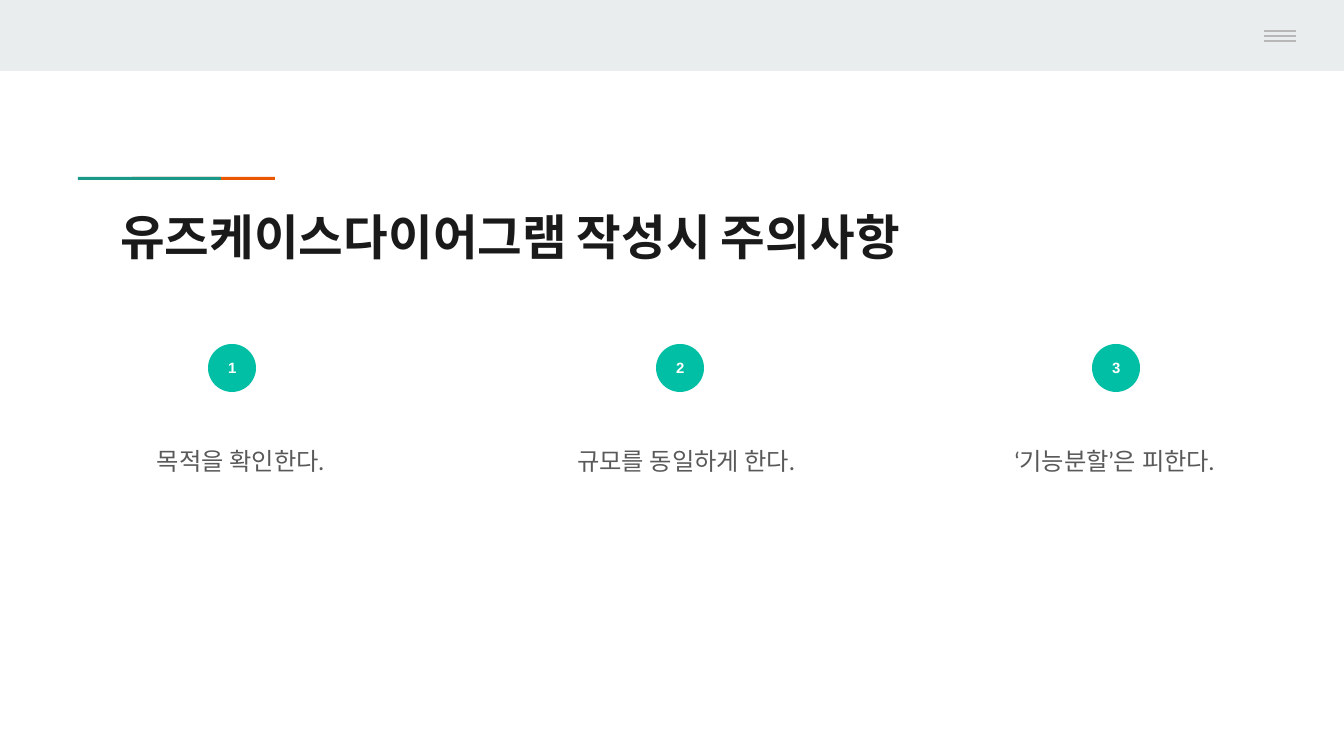
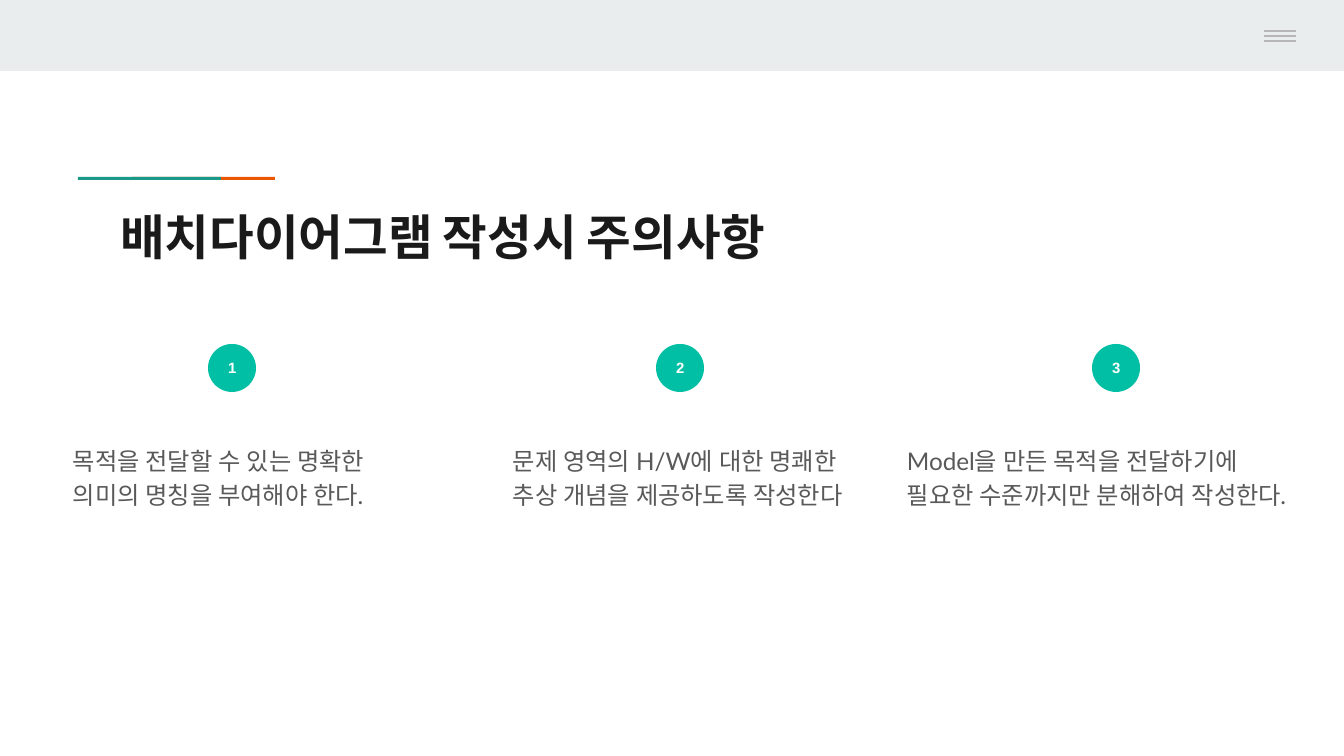
from dataclasses import dataclass

from lxml import etree
from pptx import Presentation
from pptx.dml.color import RGBColor
from pptx.enum.shapes import MSO_CONNECTOR, MSO_SHAPE
from pptx.enum.text import MSO_ANCHOR, MSO_AUTO_SIZE, PP_ALIGN
from pptx.oxml.ns import qn
from pptx.util import Pt

RECT, OVAL = MSO_SHAPE.RECTANGLE, MSO_SHAPE.OVAL
STRAIGHT = MSO_CONNECTOR.STRAIGHT
LEFT, CENTER = PP_ALIGN.LEFT, PP_ALIGN.CENTER
TOP, MIDDLE = MSO_ANCHOR.TOP, MSO_ANCHOR.MIDDLE
NO_FIT = MSO_AUTO_SIZE.NONE

# Each slide: title, alignment of its notes, and three notes as paragraph lists
SLIDES = [
    ("유즈케이스다이어그램 작성시 주의사항", CENTER, [
        ["목적을 확인한다."],
        ["규모를 동일하게 한다."],
        ["‘기능분할’은 피한다."],
    ]),
    ("배치다이어그램 작성시 주의사항", LEFT, [
        ["목적을 전달할 수 있는 명확한 의미의 명칭을 부여해야 한다."],
        ["문제 영역의 H/W에 대한 명쾌한 추상 개념을 제공하도록 작성한다"],
        ["Model을 만든 목적을 전달하기에",
         "필요한 수준까지만 분해하여 작성한다."],
    ]),
]


@dataclass(frozen=True)
class TextStyle:
    font: str
    size: int
    color: str
    bold: bool = False


@dataclass(frozen=True)
class Theme:
    band: str = "E9EDEE"
    orange: str = "EB5600"
    teal: str = "1A9988"
    menu: str = "B7B7B7"
    badge: str = "00BFA5"
    title: TextStyle = TextStyle("Manrope", 26, "1A1A1A", True)
    number: TextStyle = TextStyle("Arial", 8, "FFFFFF", True)
    note: TextStyle = TextStyle("Lato", 13, "595959")


THEME = Theme()

# Layout in px
PX = 914400 / 134.4
WIDTH, HEIGHT = 1344, 756
INSET = 13
BAND_H = 71
ACCENT_Y, ACCENT_W, ACCENT_H = 177, 143, 3
ACCENTS = [(132, THEME.orange), (78, THEME.teal)]
MENU_X, MENU_Y, MENU_W, MENU_STEP = 1264, 31, 32, 5
TITLE_BOX = (107, 194, 1130, 79)
BADGE_Y, BADGE_SIZE = 344, 48
NOTE_Y, NOTE_H = 429, 154
COLUMNS = [(208, 60, 361), (656, 500, 372), (1092, 894, 441)]  # badge x, note x, note width


def px(n):
    return round(n * PX)


def rgb(color):
    return RGBColor.from_string(color)


def add_filled(slide, preset, box, color):
    sp = slide.shapes.add_shape(preset, *map(px, box))
    sp.shadow.inherit = False
    sp.fill.solid()
    sp.fill.fore_color.rgb = rgb(color)
    sp.line.fill.background()
    return sp


def add_rule(slide, x, y, width):
    line = slide.shapes.add_connector(STRAIGHT, px(x), px(y), px(x + width), px(y))
    line.line.color.rgb = rgb(THEME.menu)
    line.line.width = Pt(0.75)
    etree.SubElement(line.element.spPr, qn("a:effectLst"))
    return line


def write(sp, paragraphs, style, align, anchor=TOP, spacing=1.0):
    tf = sp.text_frame
    tf.word_wrap = True
    tf.auto_size = NO_FIT
    tf.vertical_anchor = anchor
    tf.margin_left = tf.margin_top = tf.margin_right = tf.margin_bottom = px(INSET)
    for i, text in enumerate(paragraphs):
        p = tf.add_paragraph() if i else tf.paragraphs[0]
        p.alignment = align
        p.line_spacing = spacing
        r = p.add_run()
        r.text = text
        r.font.size = Pt(style.size)
        r.font.bold = style.bold
        r.font.color.rgb = rgb(style.color)
        r.font.name = style.font
        etree.SubElement(r.font._element, qn("a:ea"), typeface=style.font)


def decorate_layout(layout, slide):
    """Draw the shared band, accent and menu, then move them to the layout."""
    parts = [add_filled(slide, RECT, (0, 0, WIDTH, BAND_H), THEME.band)]
    parts += [add_filled(slide, RECT, (x, ACCENT_Y, ACCENT_W, ACCENT_H), color)
              for x, color in ACCENTS]
    parts += [add_rule(slide, MENU_X, MENU_Y + i * MENU_STEP, MENU_W) for i in range(3)]
    tree = layout.placeholders[0].element.getparent()
    for i, part in enumerate(parts):
        tree.insert(2 + i, part.element)


def fill_slide(slide, title, align, notes):
    sp = slide.shapes.title
    sp.left, sp.top, sp.width, sp.height = map(px, TITLE_BOX)
    write(sp, [title], THEME.title, LEFT)
    for number, (column, note) in enumerate(zip(COLUMNS, notes), 1):
        badge_x, note_x, note_w = column
        badge = add_filled(slide, OVAL, (badge_x, BADGE_Y, BADGE_SIZE, BADGE_SIZE), THEME.badge)
        write(badge, [str(number)], THEME.number, CENTER, MIDDLE)
        box = slide.shapes.add_textbox(*map(px, (note_x, NOTE_Y, note_w, NOTE_H)))
        write(box, note, THEME.note, align, spacing=1.15)


def main():
    prs = Presentation()
    prs.slide_width, prs.slide_height = px(WIDTH), px(HEIGHT)
    layout = prs.slide_layouts.get_by_name("Title Only")
    for i, content in enumerate(SLIDES):
        slide = prs.slides.add_slide(layout)
        if i == 0:
            decorate_layout(layout, slide)
        fill_slide(slide, *content)
    prs.save("out.pptx")


if __name__ == "__main__":
    main()
